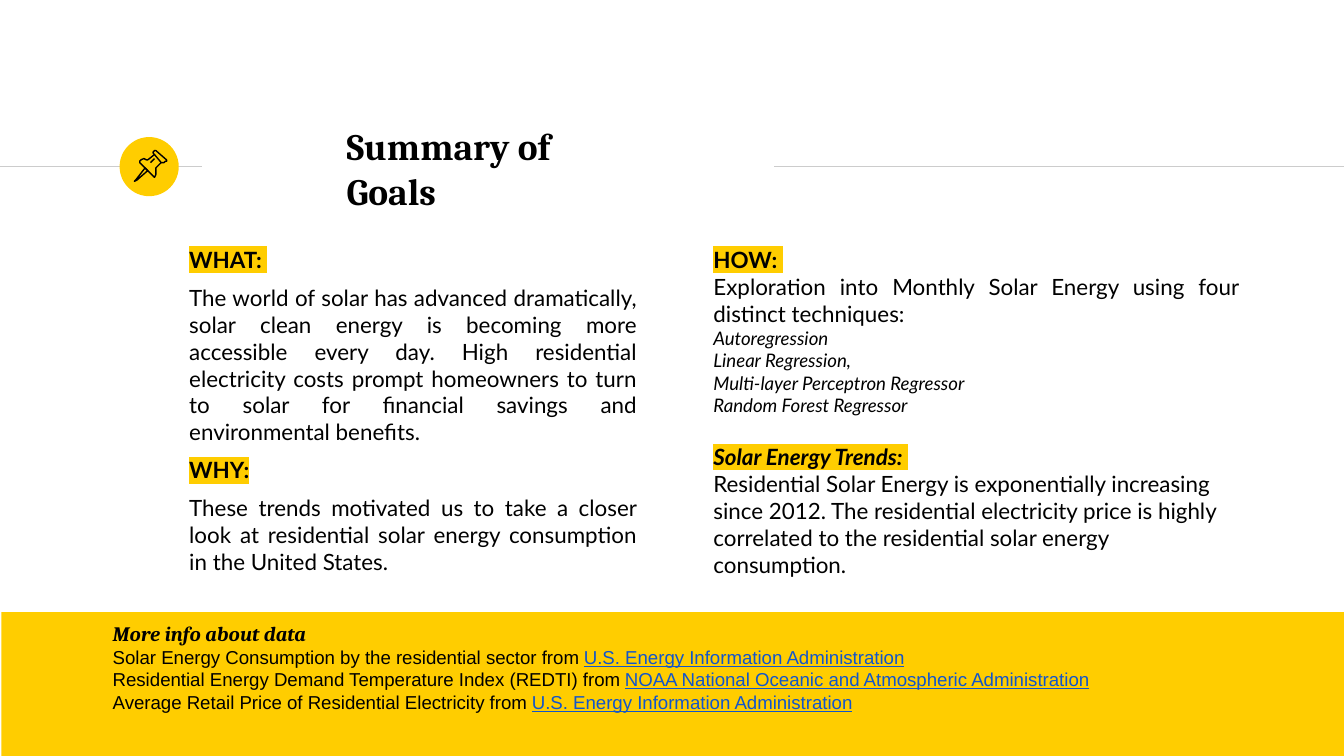
from dataclasses import dataclass
from typing import NamedTuple

from lxml.etree import SubElement
from pptx import Presentation
from pptx.dml.color import RGBColor
from pptx.enum.shapes import MSO_CONNECTOR as Connector, MSO_SHAPE as Preset
from pptx.enum.text import MSO_ANCHOR as Anchor, PP_ALIGN as Align
from pptx.oxml import parse_xml
from pptx.oxml.ns import nsdecls, qn
from pptx.util import Inches, Pt


@dataclass(frozen=True)
class Theme:
    yellow: str = "FFCD00"
    ink: str = "000000"
    rule: str = "CCCCCC"
    link: str = "1155CC"
    heading_font: str = "Cambria"
    body_font: str = "Lato"
    source_font: str = "Arial"
    title_size: int = 20
    body_size: int = 12
    caption_size: int = 11
    small_size: int = 10
    hairline: float = 0.75
    inset: float = 0.1


class Box(NamedTuple):
    left: float
    top: float
    width: float
    height: float


class Run(NamedTuple):
    text: str
    size: int
    font: str
    bold: bool = False
    italic: bool = False
    marked: bool = False
    linked: bool = False


class Line(NamedTuple):
    runs: list[Run]
    align: Align = Align.LEFT
    before: float = 0


class Outline(NamedTuple):
    points: list[tuple[float, float]]
    closed: bool


# Widescreen slide, 16 to 9
SLIDE_WIDTH = 10
SLIDE_HEIGHT = SLIDE_WIDTH * 9 / 16
theme = Theme()
presentation = Presentation()
presentation.slide_width = Inches(SLIDE_WIDTH)
presentation.slide_height = Inches(SLIDE_HEIGHT)
slide = presentation.slides.add_slide(presentation.slide_layouts[6])


def color(value: str) -> RGBColor:
    return RGBColor.from_string(value)


def add_rule(start: float, end: float, height: float) -> None:
    rule = slide.shapes.add_connector(
        Connector.STRAIGHT, Inches(start), Inches(height), Inches(end), Inches(height))
    rule.line.color.rgb = color(theme.rule)
    rule.line.width = Pt(theme.hairline)
    SubElement(rule._element.spPr, qn("a:effectLst"))


def add_block(preset: Preset, box: Box) -> None:
    shape = slide.shapes.add_shape(preset, *map(Inches, box))
    shape.shadow.inherit = False
    shape.fill.solid()
    shape.fill.fore_color.rgb = color(theme.yellow)
    shape.line.fill.background()


def add_outline(outline: Outline) -> None:
    """Points are hundredths of an inch."""
    builder = slide.shapes.build_freeform(*outline.points[0], scale=Inches(0.01))
    builder.add_line_segments(outline.points[1:], close=outline.closed)
    shape = builder.convert_to_shape()
    shape.shadow.inherit = False
    shape.fill.background()
    shape.line.color.rgb = color(theme.ink)
    shape.line.width = Pt(theme.hairline)


def add_run(paragraph, item: Run) -> None:
    run = paragraph.add_run()
    run.text = item.text
    font = run.font
    font.size, font.name = Pt(item.size), item.font
    font.bold, font.italic, font.underline = item.bold, item.italic, item.linked
    font.color.rgb = color(theme.link if item.linked else theme.ink)
    if item.marked:
        highlight = parse_xml(f'<a:highlight {nsdecls("a")}>'
                              f'<a:srgbClr val="{theme.yellow}"/></a:highlight>')
        run._r.rPr.find(qn("a:solidFill")).addnext(highlight)


def add_text(box: Box, lines: list[Line], anchor: Anchor = Anchor.TOP) -> None:
    frame = slide.shapes.add_textbox(*map(Inches, box)).text_frame
    frame.word_wrap, frame.vertical_anchor = True, anchor
    frame.margin_left = frame.margin_right = Inches(theme.inset)
    frame.margin_top = frame.margin_bottom = Inches(theme.inset)
    for index, line in enumerate(lines):
        paragraph = frame.add_paragraph() if index else frame.paragraphs[0]
        paragraph.alignment = line.align
        paragraph.space_before = Pt(line.before)
        for item in line.runs:
            add_run(paragraph, item)


def label(text: str, before: float = 6, italic: bool = False) -> Line:
    return Line([Run(text, theme.body_size, theme.body_font, True, italic, marked=True)],
                before=before)


def body(text: str, before: float = 0, align: Align = Align.JUSTIFY) -> Line:
    return Line([Run(text, theme.body_size, theme.body_font)], align, before)


def technique(text: str) -> Line:
    return Line([Run(text, theme.small_size, theme.body_font, italic=True)], Align.JUSTIFY)


def source(text: str, agency: str) -> Line:
    return Line([Run(text, theme.small_size, theme.source_font),
                 Run(agency, theme.small_size, theme.source_font, linked=True)])


# Header rules, badge and footer band
HEADER_LINE, BADGE, BAND = 1.24, 0.44, 1.07
add_rule(0, 1.5, HEADER_LINE)
add_block(Preset.OVAL, Box(0.89, HEADER_LINE - BADGE / 2, BADGE, BADGE))
add_rule(5.76, SLIDE_WIDTH, HEADER_LINE)
add_block(Preset.RECTANGLE, Box(0.01, SLIDE_HEIGHT - BAND, SLIDE_WIDTH, BAND))

# Title
add_text(Box(2.48, 1.01, 2.35, 0.48),
         [Line([Run("Summary of Goals", theme.title_size, theme.heading_font, True)])],
         Anchor.MIDDLE)

# Pushpin: needle, head, body, highlight
PUSHPIN = [
    Outline([(108, 125), (101, 134), (100, 135), (102, 134), (110, 127)], True),
    Outline([(115, 115), (120, 121), (122, 121), (123, 120.5), (124, 120), (124, 119),
             (116.5, 112), (115.5, 111.5), (115, 112), (114, 113), (114, 114)], True),
    Outline([(115, 115), (110, 119), (109, 119), (107, 118.5), (105, 119), (104, 120),
             (104, 121), (114, 131), (115, 131.5), (116, 130), (116.5, 128), (116, 125),
             (120, 121)], False),
    Outline([(112, 121), (115, 118)], False),
]
for part in PUSHPIN:
    add_outline(part)

# Two columns
COLUMN_TOP, COLUMN_HEIGHT = 1.73, 2.41
add_text(Box(1.31, COLUMN_TOP, 3.53, COLUMN_HEIGHT), [
    label("WHAT: "),
    body("The world of solar has advanced dramatically, solar clean energy is becoming "
         "more accessible every day. High residential electricity costs prompt homeowners "
         "to turn to solar for financial savings and environmental benefits.", 6),
    label("WHY:"),
    body("These trends motivated us to take a closer look at residential solar energy "
         "consumption in the United States.", 6),
])
TECHNIQUES = ["Autoregression", "Linear Regression,", "Multi-layer Perceptron Regressor",
              "Random Forest Regressor"]
add_text(Box(5.21, COLUMN_TOP, 4.11, COLUMN_HEIGHT), [
    label("HOW: "),
    body("Exploration into Monthly Solar Energy using four distinct techniques:"),
    *map(technique, TECHNIQUES),
    label("Solar Energy Trends: ", before=14.4, italic=True),
    body("Residential Solar Energy is exponentially increasing since 2012. The residential "
         "electricity price is highly correlated to the residential solar energy "
         "consumption.", align=Align.LEFT),
])

# Data sources
ENERGY_AGENCY = "U.S. Energy Information Administration"
add_text(Box(0.74, 4.52, 8.58, 0.9), [
    Line([Run("More info about data", theme.caption_size, theme.heading_font, True, True)]),
    source("Solar Energy Consumption by the residential sector from ", ENERGY_AGENCY),
    source("Residential Energy Demand Temperature Index (REDTI) from ",
           "NOAA National Oceanic and Atmospheric Administration"),
    source("Average Retail Price of Residential Electricity from ", ENERGY_AGENCY),
])

presentation.save("out.pptx")
